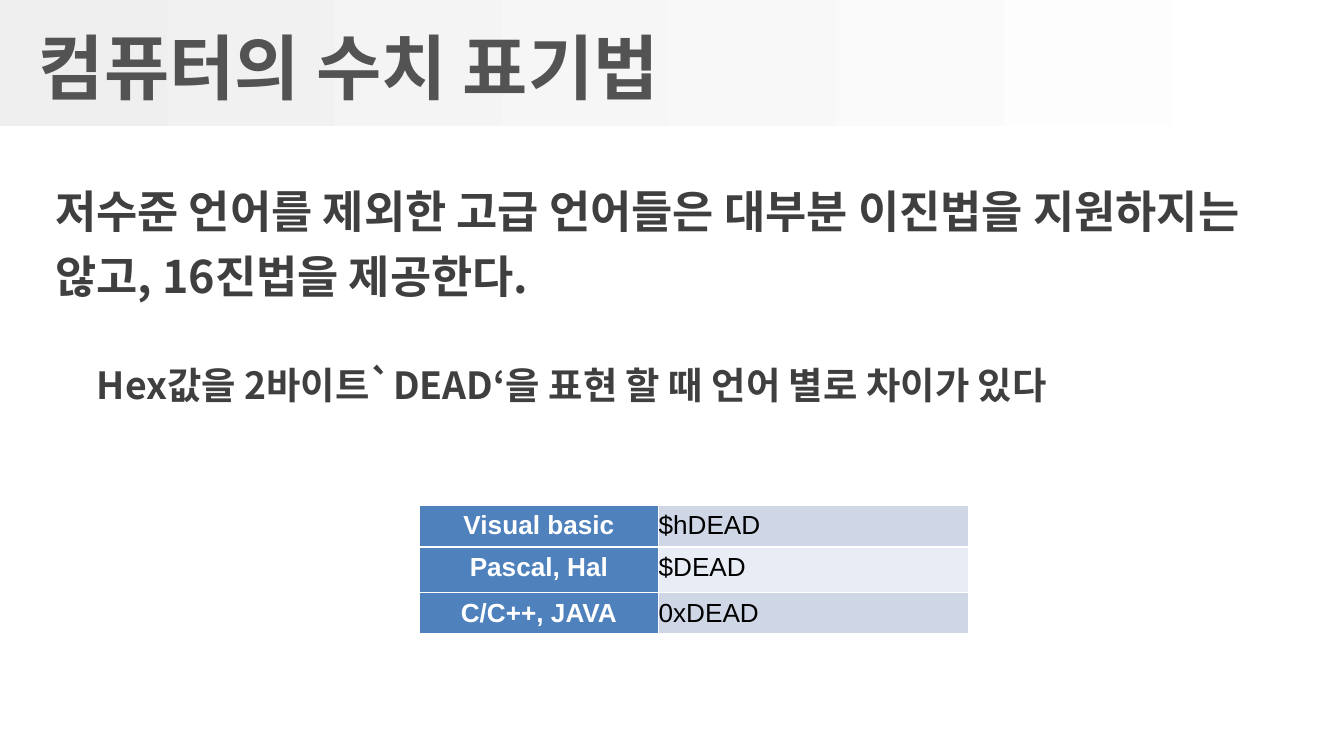
from pptx import Presentation
from pptx.dml.color import RGBColor
from pptx.enum.shapes import MSO_SHAPE
from pptx.enum.text import MSO_ANCHOR, PP_ALIGN
from pptx.oxml.ns import qn
from pptx.util import Pt
from lxml.etree import SubElement

KOR = "Noto Sans CJK KR"

# Content: text, box (left, top, width, height), size, colour, anchor, spacing
TEXTS = [
    (" 컴퓨터의 수치 표기법", (8.64, 5.04, 720, 61.2), 38, "535353",
     MSO_ANCHOR.MIDDLE, 1),
    ("저수준 언어를 제외한 고급 언어들은 대부분 이진법을 지원하지는 "
     "않고, 16진법을 제공한다.", (25.92, 89.28, 647.28, 66.24), 24, "3F3F3F",
     MSO_ANCHOR.TOP, 1.2),
    ("Hex값을 2바이트`DEAD‘을 표현 할 때 언어 별로 차이가 있다",
     (48.24, 185.76, 647.28, 30.24), 20, "3F3F3F", MSO_ANCHOR.TOP, 1.2),
]
ROWS = [("Visual basic", "$hDEAD"), ("Pascal, Hal", "$DEAD"),
        ("C/C++, JAVA", "0xDEAD")]
WIDTHS = [128.16, 166.32]
HEIGHTS = [22.32, 24.48, 22.32]
BANDS = ["CFD7E7", "E8ECF4"]


def color(code):
    return RGBColor.from_string(code)


def add_run(para, text, size, face, code, bold):
    run = para.add_run()
    run.text = text
    font = run.font
    font.size, font.name, font.bold = Pt(size), face, bold
    font.color.rgb = color(code)
    # Hangul takes its face from the East Asian slot
    SubElement(run._r.get_or_add_rPr(), qn("a:ea"), typeface=face)


def add_text(text, box, size, code, anchor, space):
    frame = slide.shapes.add_textbox(*map(Pt, box)).text_frame
    frame.word_wrap = True
    frame.vertical_anchor = anchor
    frame.margin_left = frame.margin_right = Pt(3.6)
    frame.margin_top = frame.margin_bottom = Pt(3.6)
    para = frame.paragraphs[0]
    para.line_spacing = space
    add_run(para, text, size, KOR, code, True)


def add_edges(cell):
    props = cell._tc.get_or_add_tcPr()
    for side in ("lnL", "lnR", "lnT", "lnB"):
        line = SubElement(props, qn(f"a:{side}"), w=str(Pt(1)))
        fill = SubElement(line, qn("a:solidFill"))
        SubElement(fill, qn("a:srgbClr"), val="FFFFFF")


def fill_cell(cell, text, head, back):
    cell.margin_left = cell.margin_right = 0
    cell.margin_top = cell.margin_bottom = 0
    add_edges(cell)
    cell.fill.solid()
    cell.fill.fore_color.rgb = color(back)
    para = cell.text_frame.paragraphs[0]
    para.line_spacing = 1.2
    para.alignment = PP_ALIGN.CENTER if head else PP_ALIGN.LEFT
    add_run(para, text, 14, "Arial", "FFFFFF" if head else "000000", head)


deck = Presentation()
deck.slide_width, deck.slide_height = Pt(720), Pt(405)
slide = deck.slides.add_slide(deck.slide_layouts[6])

# Title band
band = slide.shapes.add_shape(MSO_SHAPE.RECTANGLE, 0, 0, Pt(717.12), Pt(67.68))
band.shadow.inherit = False
band.line.fill.background()
band.fill.gradient()
band.fill.gradient_angle = 0
for stop, code in zip(band.fill.gradient_stops, ("EFEFEF", "FFFFFF")):
    stop.color.rgb = color(code)

# Title and sentences
for item in TEXTS:
    add_text(*item)

# Table of notations by language
table = slide.shapes.add_table(
    len(ROWS), len(WIDTHS), Pt(224.64), Pt(270.72),
    Pt(sum(WIDTHS)), Pt(sum(HEIGHTS))).table
for col, width in zip(table.columns, WIDTHS):
    col.width = Pt(width)
for i, (name, value) in enumerate(ROWS):
    table.rows[i].height = Pt(HEIGHTS[i])
    fill_cell(table.cell(i, 0), name, True, "4F81BD")
    fill_cell(table.cell(i, 1), value, False, BANDS[i % 2])

deck.save("out.pptx")
